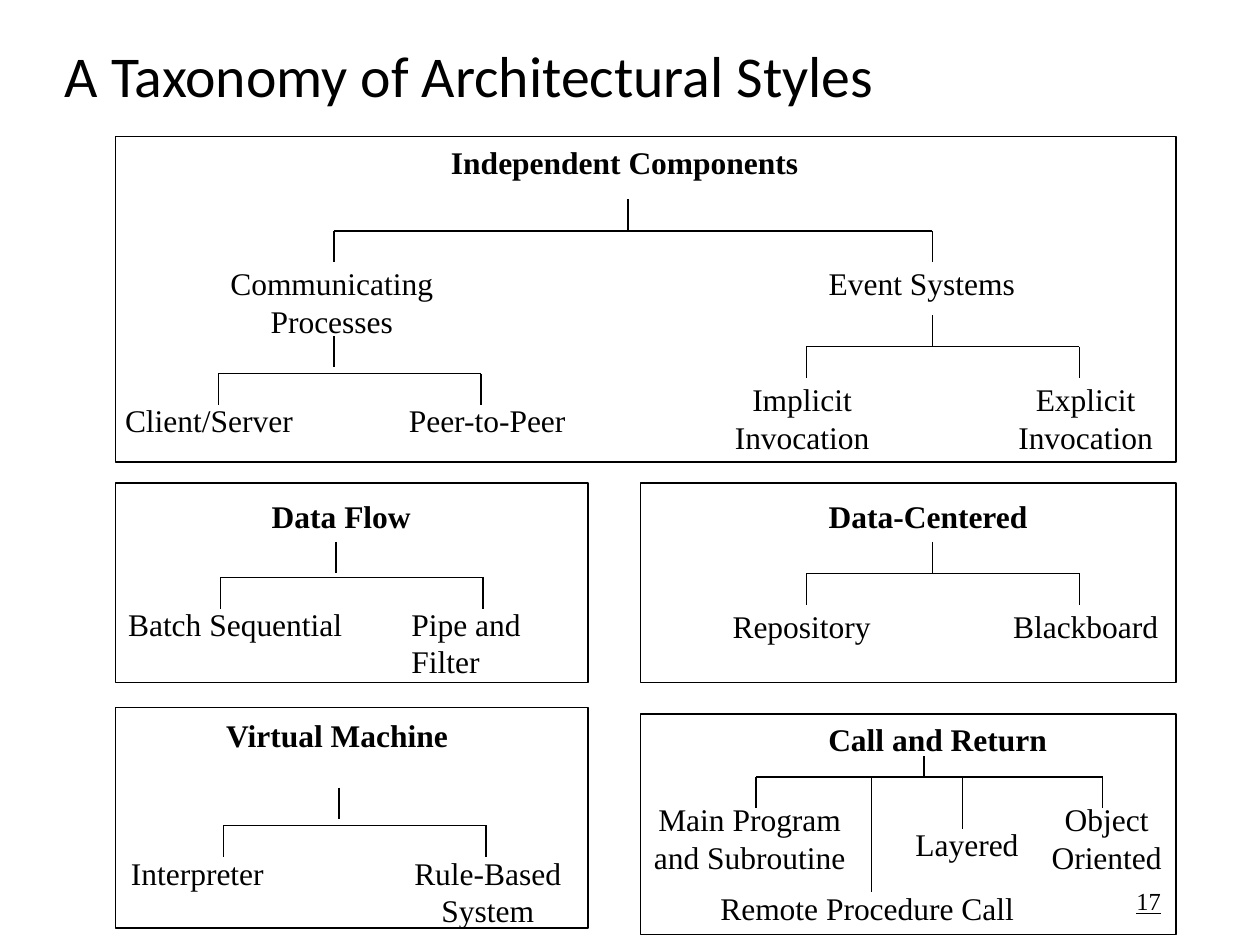
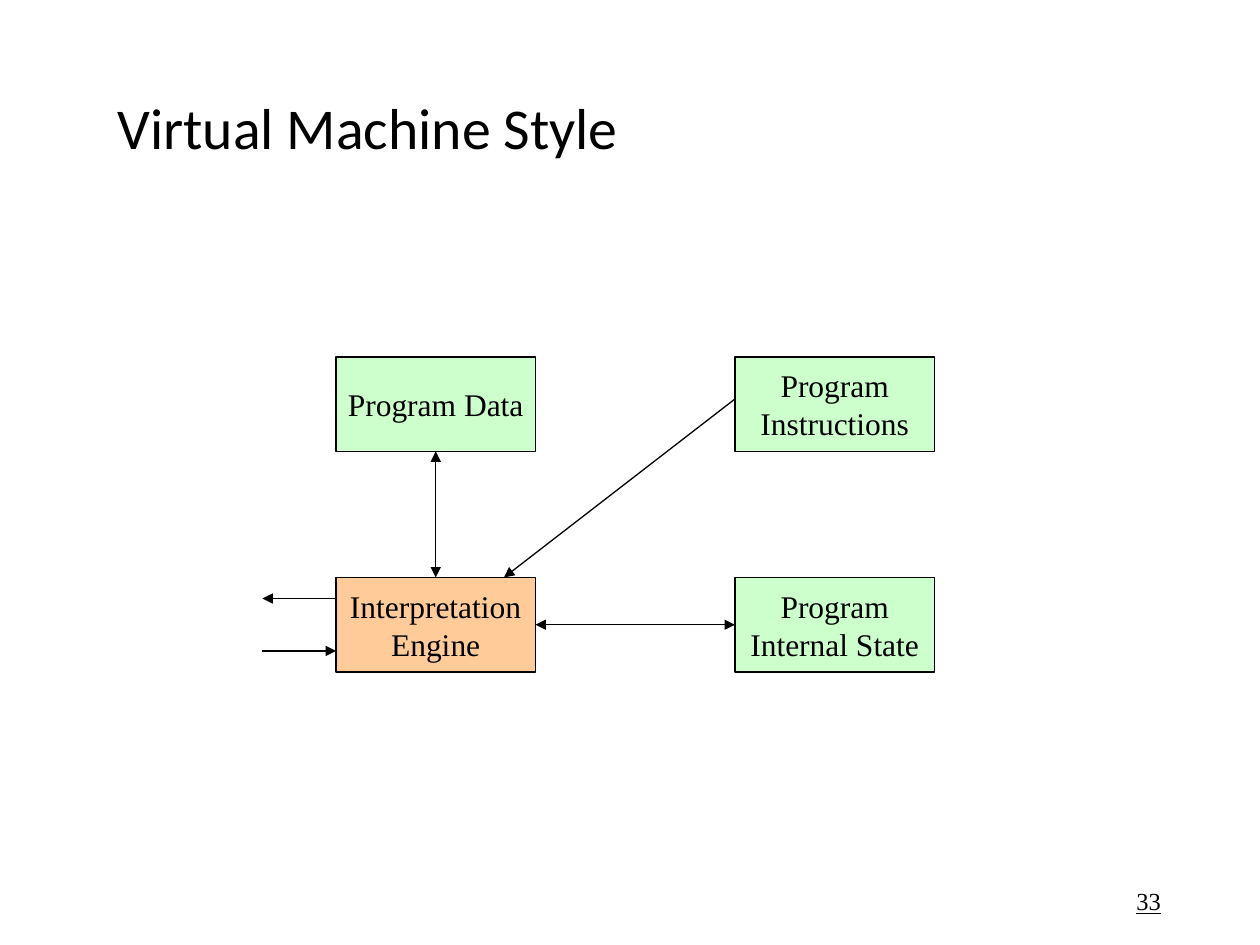
"""Build two slides: a taxonomy of architectural styles and the virtual machine style."""
from lxml.etree import SubElement
from pptx import Presentation
from pptx.dml.color import RGBColor
from pptx.enum.shapes import MSO_CONNECTOR as Connector, MSO_SHAPE as Shape
from pptx.enum.text import MSO_ANCHOR as Anchor, MSO_AUTO_SIZE as AutoSize, PP_ALIGN as Align
from pptx.oxml.ns import qn
from pptx.util import Pt

BLACK = RGBColor(0x00, 0x00, 0x00)
GREEN = RGBColor(0xCC, 0xFF, 0xCC)
ORANGE = RGBColor(0xFF, 0xCC, 0x99)
LINE_WIDTH = Pt(0.75)
COLUMNS, ROWS = 120, 90
CELL = 76200

TITLE = {"name": "Calibri", "size": Pt(33)}
LABEL = {"name": "Times New Roman", "size": Pt(18)}
HEADING = {**LABEL, "bold": True}
NUMBER = {**LABEL, "size": Pt(14), "underline": True}


def write(box, text, style, align=Align.CENTER, anchor=Anchor.MIDDLE, wrap=False, spacing=None):
    """Fill a box with one paragraph per line of text."""
    frame = box.text_frame
    frame.word_wrap = wrap
    frame.vertical_anchor = anchor
    for index, line in enumerate(text.split("\n")):
        para = frame.add_paragraph() if index else frame.paragraphs[0]
        para.alignment = align
        para.line_spacing = spacing
        span = para.add_run()
        span.text = line
        for name, value in style.items():
            setattr(span.font, name, value)
        span.font.color.rgb = BLACK


def draw_line(page, start, end, *arrow_ends):
    """Draw a thin straight line between two grid points."""
    points = [round(value * CELL) for value in (*start, *end)]
    line = page.shapes.add_connector(Connector.STRAIGHT, *points)
    line.line.color.rgb = BLACK
    line.line.width = LINE_WIDTH
    properties = line._element.spPr
    for arrow_end in arrow_ends:
        SubElement(properties.find(qn("a:ln")), qn(f"a:{arrow_end}"), type="triangle")
    SubElement(properties, qn("a:effectLst"))
    return line


deck = Presentation()
deck.slide_width, deck.slide_height = COLUMNS * CELL, ROWS * CELL

pages = []
for title, number, area in [
    ("A Taxonomy of Architectural Styles", "17", (5, 0, 111, 15)),
    ("Virtual Machine Style", "33", (10, 5, 102, 15)),
]:
    page = deck.slides.add_slide(deck.slide_layouts[6])
    title_box = page.shapes.add_textbox(*[value * CELL for value in area])
    write(title_box, title, TITLE, Align.LEFT, wrap=True, spacing=0.9)
    number_area = (84.75, 83.4, 27, 4.8)
    number_box = page.shapes.add_textbox(*[round(value * CELL) for value in number_area])
    write(number_box, number, NUMBER, Align.RIGHT, wrap=True)
    pages.append(page)
taxonomy, machine = pages

labels = [
    ("Independent Components", HEADING, 41.5, 13, 36),
    ("Communicating\nProcesses", LABEL, 20.6, 24.6, 22),
    ("Event Systems", LABEL, 77.5, 24.6, 20.6),
    ("Client/Server", LABEL, 10.5, 37.6, 18.8),
    ("Peer-to-Peer", LABEL, 37.5, 37.6, 17.8),
    ("Implicit\nInvocation", LABEL, 68.6, 35.6, 15.6),
    ("Explicit\nInvocation", LABEL, 95.6, 35.6, 15.6),
    ("Data Flow", HEADING, 24.5, 46.7, 16),
    ("Batch Sequential", LABEL, 10.8, 57, 23.2),
    ("Pipe and\nFilter", LABEL, 38, 57, 13),
    ("Virtual Machine", HEADING, 20.1, 67.6, 24),
    ("Interpreter", LABEL, 11.1, 80.7, 15.4),
    ("Rule-Based\nSystem", LABEL, 38.1, 80.7, 16.7),
    ("Data-Centered", HEADING, 77.5, 46.7, 21.8),
    ("Repository", LABEL, 68.4, 57.2, 15.9),
    ("Blackboard", LABEL, 95.1, 57.2, 16.6),
    ("Call and Return", HEADING, 77.5, 68, 23.6),
    ("Main Program\nand Subroutine", LABEL, 60.8, 75.6, 21.2),
    ("Object\nOriented", LABEL, 98.8, 75.6, 13.2),
    ("Layered", LABEL, 85.8, 78, 12.6),
    ("Remote Procedure Call", LABEL, 67.2, 84.1, 30.8),
]
for text, style, left, top, width in labels:
    height = 4.8 + 3.6 * text.count("\n")
    area = [round(value * CELL) for value in (left, top, width, height)]
    align = Align.LEFT if text.startswith("Pipe") else Align.CENTER
    label_box = taxonomy.shapes.add_textbox(*area)
    write(label_box, text, style, align, Anchor.TOP)
    label_box.text_frame.auto_size = AutoSize.SHAPE_TO_FIT_TEXT

branches = [
    (59.8, 19, 3, 22, [(31.8, 3), (88.8, 3)]),
    (31.8, 32, 3, 35.6, [(20.8, 3), (45.8, 3)]),
    (88.8, 30, 3, 33, [(76.8, 3), (102.8, 3)]),
    (32, 51.6, 3, 55, [(21, 3), (46, 3)]),
    (32.3, 75, 3, 78.6, [(21.3, 3), (46.3, 3)]),
    (88.8, 51.6, 3, 54.6, [(76.8, 3), (102.8, 3)]),
    (88, 72, 2, 74, [(72, 3), (83, 11), (91.7, 5), (105, 3)]),
]
for stem, top, length, bar, drops in branches:
    draw_line(taxonomy, (stem, top), (stem, top + length))
    draw_line(taxonomy, (drops[0][0], bar), (drops[-1][0], bar))
    for column, drop in drops:
        draw_line(taxonomy, (column, bar), (column, bar + drop))

for area in [
    (11, 13, 101, 31),
    (11, 46, 45, 19),
    (61, 46, 51, 19),
    (11, 67.4, 45, 21),
    (61, 68, 51, 21),
]:
    panel = taxonomy.shapes.add_shape(Shape.RECTANGLE, *[round(value * CELL) for value in area])
    panel.shadow.inherit = False
    panel.fill.background()
    panel.line.color.rgb = BLACK
    panel.line.width = LINE_WIDTH

parts = {}
for text, color, left, top in [
    ("Interpretation\nEngine", ORANGE, 32, 55),
    ("Program Data", GREEN, 32, 34),
    ("Program\nInstructions", GREEN, 70, 34),
    ("Program\nInternal State", GREEN, 70, 55),
]:
    box = machine.shapes.add_shape(Shape.RECTANGLE, left * CELL, top * CELL, 19 * CELL, 9 * CELL)
    box.shadow.inherit = False
    box.fill.solid()
    box.fill.fore_color.rgb = color
    box.line.color.rgb = BLACK
    box.line.width = LINE_WIDTH
    write(box, text, LABEL)
    parts[text.split()[-1]] = box

for source, source_side, engine_side in [("Data", 2, 0), ("State", 1, 3)]:
    link = draw_line(machine, (0, 0), (1, 1), "headEnd", "tailEnd")
    link.begin_connect(parts[source], source_side)
    link.end_connect(parts["Engine"], engine_side)

for start, end in [((32, 57), (25, 57)), ((25, 62), (32, 62)), ((70, 38), (48, 55))]:
    draw_line(machine, start, end, "tailEnd")

deck.save("out.pptx")
